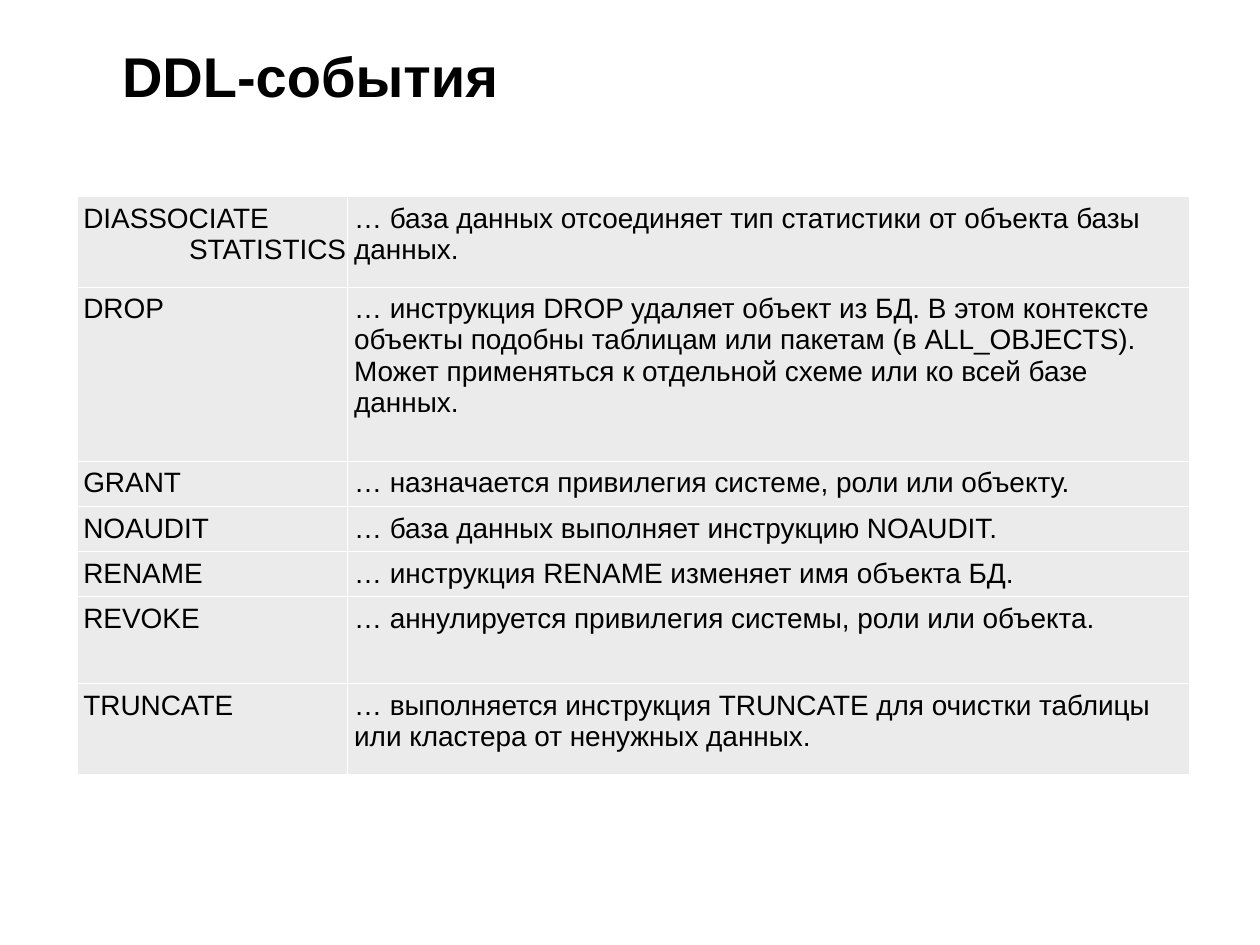
from lxml.etree import SubElement
from pptx import Presentation
from pptx.dml.color import RGBColor
from pptx.enum.text import MSO_ANCHOR as Anchor, MSO_AUTO_SIZE as AutoSize, PP_ALIGN as Align
from pptx.oxml.ns import qn
from pptx.util import Cm, Pt

COLORS = {"text": "000000", "cell": "EAEBEA", "border": "FFFFFF"}
COLUMN_WIDTHS = (5.46, 16.97)
EVENTS = [
    (1.83, ("DIASSOCIATE", "STATISTICS"),
     "… база данных отсоединяет тип статистики от объекта базы данных."),
    (3.51, ("DROP",),
     "… инструкция DROP удаляет объект из БД. В этом контексте объекты подобны "
     "таблицам или пакетам (в ALL_OBJECTS). Может применяться к отдельной схеме "
     "или ко всей базе данных."),
    (0.91, ("GRANT",), "… назначается привилегия системе, роли или объекту."),
    (0.91, ("NOAUDIT",), "… база данных выполняет инструкцию NOAUDIT."),
    (0.91, ("RENAME",), "… инструкция RENAME изменяет имя объекта БД."),
    (1.75, ("REVOKE",), "… аннулируется привилегия системы, роли или объекта."),
    (1.83, ("TRUNCATE",),
     "… выполняется инструкция TRUNCATE для очистки таблицы или кластера от ненужных данных."),
]


class SlideBuilder:
    font_name = "Arial"

    def __init__(self, slide):
        self.slide = slide

    def style(self, paragraph, size, bold=False, align=Align.LEFT):
        paragraph.alignment = align
        font = paragraph.font
        font.name, font.size, font.bold = self.font_name, Pt(size), bold
        font.color.rgb = RGBColor.from_string(COLORS["text"])

    def title(self, text, left, top, width, height):
        shape = self.slide.shapes.title
        shape.left, shape.top = Cm(left), Cm(top)
        shape.width, shape.height = Cm(width), Cm(height)
        frame = shape.text_frame
        frame.text = text
        frame.word_wrap = True
        frame.auto_size = AutoSize.NONE
        frame.vertical_anchor = Anchor.TOP
        frame.margin_left = frame.margin_right = frame.margin_top = frame.margin_bottom = 0
        self.style(frame.paragraphs[0], 32, bold=True)

    def borders(self, cell):
        properties = cell._tc.get_or_add_tcPr()
        for side in ("lnL", "lnR", "lnT", "lnB"):
            line = SubElement(properties, qn(f"a:{side}"), w=str(Pt(0.45)))
            fill = SubElement(line, qn("a:solidFill"))
            SubElement(fill, qn("a:srgbClr"), val=COLORS["border"])

    def cell(self, cell, lines):
        cell.margin_left = cell.margin_top = cell.margin_bottom = Cm(0.13)
        cell.margin_right = Cm(0.03)
        cell.vertical_anchor = Anchor.TOP
        self.borders(cell)
        cell.fill.solid()
        cell.fill.fore_color.rgb = RGBColor.from_string(COLORS["cell"])
        cell.text_frame.text = "\n".join(lines)
        for index, paragraph in enumerate(cell.text_frame.paragraphs):
            self.style(paragraph, 16, align=Align.RIGHT if index else Align.LEFT)

    def table(self, events, left, top):
        height = sum(event[0] for event in events)
        table = self.slide.shapes.add_table(
            len(events), len(COLUMN_WIDTHS), Cm(left), Cm(top),
            Cm(sum(COLUMN_WIDTHS)), Cm(height)).table
        table.first_row = table.horz_banding = False
        for column, width in zip(table.columns, COLUMN_WIDTHS):
            column.width = Cm(width)
        for row, (row_height, name, description) in zip(table.rows, events):
            row.height = Cm(row_height)
            self.cell(row.cells[0], name)
            self.cell(row.cells[1], (description,))


def main():
    presentation = Presentation()
    presentation.slide_width, presentation.slide_height = Cm(25.4), Cm(19.05)
    builder = SlideBuilder(presentation.slides.add_slide(presentation.slide_layouts[5]))
    builder.title("DDL-события", 2.46, 0.84, 21.06, 2.62)
    builder.table(EVENTS, 1.55, 3.96)
    presentation.save("out.pptx")


if __name__ == "__main__":
    main()
